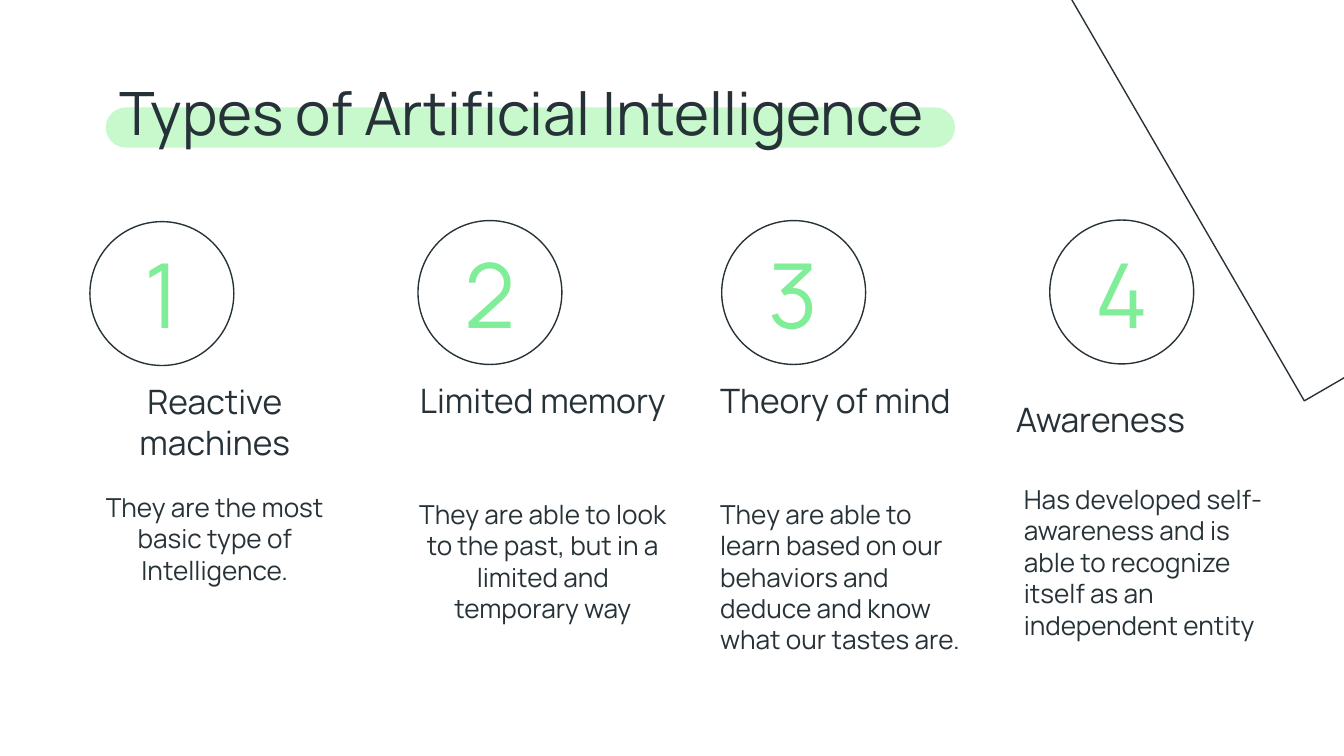
from collections import namedtuple

from pptx import Presentation
from pptx.dml.color import RGBColor
from pptx.enum.shapes import MSO_SHAPE as Preset
from pptx.enum.text import MSO_ANCHOR as Anchor, MSO_AUTO_SIZE as AutoSize, PP_ALIGN as Align
from pptx.util import Cm, Pt

FONT = "Manrope"
INK = "263238"
GREEN = "80ED99"
PALE_GREEN = "C7F9CC"
CIRCLE = 2.72
BODY_WIDTH = 5.28

Kind = namedtuple(
    "Kind",
    "circle_left circle_top heading heading_box body body_left body_top align",
)

KINDS = [
    Kind(1.7, 4.19, "Reactive machines", (1.42, 6.96, BODY_WIDTH, 1.04),
         "They are the most basic type of Intelligence.", 1.42, 9.04, Align.CENTER),
    Kind(7.9, 4.17, "Limited memory", (7.62, 6.93, BODY_WIDTH, 1.04),
         "They are able to look to the past, but in a limited and temporary way",
         7.62, 9.17, Align.CENTER),
    Kind(13.64, 4.17, "Theory of mind", (13.36, 6.93, BODY_WIDTH, 1.04),
         "They are able to learn based on our behaviors and deduce and know what our tastes are.",
         13.36, 9.17, Align.LEFT),
    Kind(19.84, 4.16, "Awareness", (18.95, 7.29, 6.15, 1.04),
         "Has developed self-awareness and is able to recognize itself as an independent entity",
         19.1, 8.89, Align.LEFT),
]

WAVE_START = (8.31, 0.03)
WAVE_CURVES = [
    ((8.35, 0.1), (8.42, 0.17), (8.52, 0.24)),
    ((8.89, 0.47), (9.28, 0.28), (9.56, 0.72)),
    ((9.59, 0.77), (9.62, 0.81), (9.65, 0.85)),
    ((9.77, 1.07), (9.87, 1.29), (9.98, 1.48)),
    ((10.12, 1.72), (10.28, 1.93), (10.57, 2.11)),
    ((11.06, 2.4), (11.45, 2.29), (11.81, 1.97)),
    ((12.43, 1.42), (12.4, 0.63), (12, -0.07)),
    ((11.83, -0.36), (11.59, -0.64), (11.3, -0.88)),
    ((10.39, -1.61), (9.29, -1.57), (8.58, -0.87)),
    ((8.36, -0.65), (8.13, -0.28), (8.31, 0.03)),
]


def color(value):
    return RGBColor.from_string(value)


def place(left, top, width, height):
    return Cm(left), Cm(top), Cm(width), Cm(height)


def paint(shape, fill=None, line=None):
    shape.shadow.inherit = False
    if fill:
        shape.fill.solid()
        shape.fill.fore_color.rgb = color(fill)
    else:
        shape.fill.background()
    if line:
        shape.line.color.rgb = color(line)
        shape.line.width = Pt(0.75)
    else:
        shape.line.fill.background()


def write(box, text, size, ink=INK, align=Align.LEFT, anchor=Anchor.TOP, after=0):
    frame = box.text_frame
    frame.word_wrap = True
    frame.auto_size = AutoSize.NONE
    frame.vertical_anchor = anchor
    frame.margin_left = frame.margin_right = Cm(0.25)
    frame.margin_top = frame.margin_bottom = Cm(0.25)
    para = frame.paragraphs[0]
    para.alignment = align
    para.space_before = Pt(0)
    para.space_after = Pt(after)
    span = para.add_run()
    span.text = text
    span.font.name = FONT
    span.font.size = Pt(size)
    span.font.color.rgb = color(ink)


def add_text(page, bounds, text, size, **style):
    write(page.shapes.add_textbox(*place(*bounds)), text, size, **style)


def curve_points(start, curves, steps=12):
    for first, second, end in curves:
        for step in range(1, steps + 1):
            t = step / steps
            u = 1 - t
            yield tuple(
                u**3 * a + 3 * u**2 * t * b + 3 * u * t**2 * c + t**3 * d
                for a, b, c, d in zip(start, first, second, end)
            )
        start = end


def add_wave(page):
    builder = page.shapes.build_freeform(*WAVE_START, scale=Cm(2.54))
    builder.add_line_segments(curve_points(WAVE_START, WAVE_CURVES), close=True)
    wave = builder.convert_to_shape()
    wave.rotation = 239.9
    paint(wave, line=INK)


def add_title(page, text):
    highlight = page.shapes.add_shape(Preset.ROUNDED_RECTANGLE, *place(2, 2.03, 16.05, 0.76))
    highlight.adjustments[0] = 0.5
    paint(highlight, fill=PALE_GREEN)
    title = page.shapes.title
    title.left, title.top, title.width, title.height = place(2, 1.19, 21.41, 1.7)
    write(title, text, 32)
    highlight.element.addnext(title.element)


def add_kind(page, number, kind):
    left, top = kind.circle_left, kind.circle_top
    circle = page.shapes.add_shape(Preset.OVAL, *place(left, top, CIRCLE, CIRCLE))
    paint(circle, line=INK)
    add_text(page, (left + 0.13, 4.55, 2.46, 1.96), str(number), 48,
             ink=GREEN, align=Align.CENTER, anchor=Anchor.MIDDLE)
    add_text(page, kind.heading_box, kind.heading, 18, align=kind.align, after=16)
    add_text(page, (kind.body_left, kind.body_top, BODY_WIDTH, 4.6), kind.body, 14,
             align=kind.align, after=16)


def main():
    deck = Presentation()
    deck.slide_width, deck.slide_height = Cm(25.4), Cm(14.29)
    page = deck.slides.add_slide(deck.slide_layouts[5])
    add_wave(page)
    add_title(page, "Types of Artificial Intelligence")
    for number, kind in enumerate(KINDS, start=1):
        add_kind(page, number, kind)
    deck.save("out.pptx")


if __name__ == "__main__":
    main()
